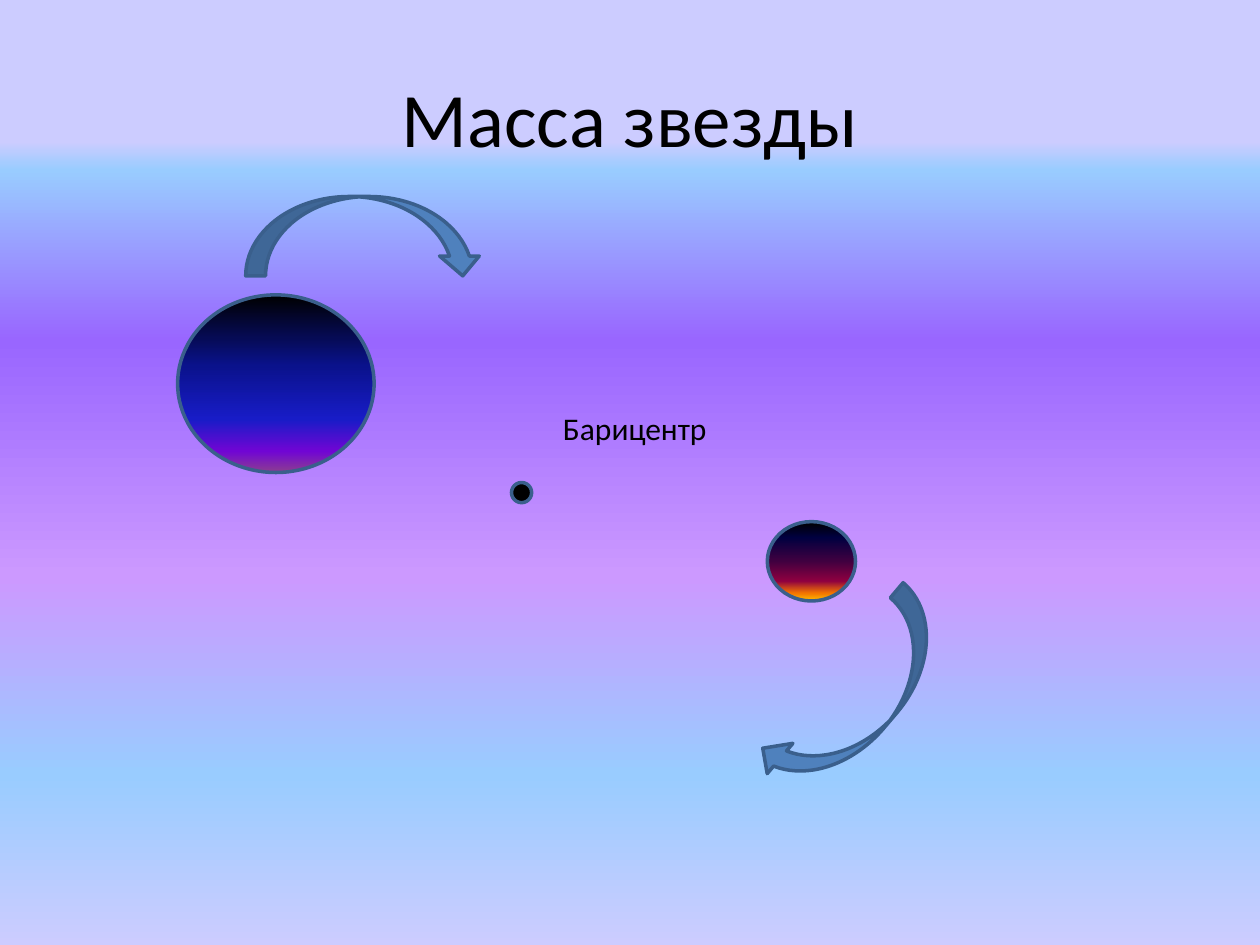
from lxml import etree
from pptx import Presentation
from pptx.dml.color import RGBColor
from pptx.enum.shapes import MSO_SHAPE
from pptx.enum.text import MSO_ANCHOR, MSO_AUTO_SIZE, PP_ALIGN
from pptx.oxml.ns import qn
from pptx.util import Inches, Pt

# Colours and gradients (stop position in percent, colour)
BLACK = RGBColor(0x00, 0x00, 0x00)
OUTLINE = RGBColor(0x3A, 0x5F, 0x8C)
ARROW_BLUE = RGBColor(0x4F, 0x81, 0xBD)
LAVENDER = RGBColor(0xCC, 0xCC, 0xFF)
SKY = RGBColor(0x99, 0xCC, 0xFF)
VIOLET = RGBColor(0x99, 0x66, 0xFF)
LILAC = RGBColor(0xCC, 0x99, 0xFF)

BACKGROUND = [(15, LAVENDER), (18, SKY), (36, VIOLET), (61, LILAC), (82, SKY), (100, LAVENDER)]
STAR = [(0, BLACK), (40, RGBColor(0x0A, 0x12, 0x8C)), (70, RGBColor(0x18, 0x1C, 0xC7)),
        (88, RGBColor(0x70, 0x05, 0xD4)), (100, RGBColor(0x8C, 0x3D, 0x91))]
COMPANION = [(0, BLACK), (20, RGBColor(0x00, 0x00, 0x40)), (50, RGBColor(0x40, 0x00, 0x40)),
             (75, RGBColor(0x8F, 0x00, 0x40)), (90, RGBColor(0xF2, 0x73, 0x00)),
             (100, RGBColor(0xFF, 0xBF, 0x00))]

# Content: text, box, size
TITLE = ("Масса звезды", (0.5, 0.3, 9, 1.25), 44)
LABEL = ("Барицентр", (4.37, 3.2, 1.56, 0.4), 18)

# Bodies and orbit arrows: preset, box, fill, rotation
BODIES = [
    (MSO_SHAPE.OVAL, (1.41, 2.34, 1.56, 1.41), STAR, 0),
    (MSO_SHAPE.OVAL, (6.09, 4.14, 0.7, 0.63), COMPANION, 0),
    (MSO_SHAPE.OVAL, (4.06, 3.83, 0.16, 0.16), BLACK, 0),
]
ORBIT_ARROWS = [
    (MSO_SHAPE.CURVED_DOWN_ARROW, (1.95, 1.56, 1.88, 0.63), ARROW_BLUE, 0),
    (MSO_SHAPE.CURVED_DOWN_ARROW, (5.86, 5.23, 1.88, 0.63), ARROW_BLUE, 130.3),
]


def inches(box):
    return [Inches(value) for value in box]


def apply_gradient(fill, parent, stops):
    """Fill from top to bottom with any number of stops."""
    fill.gradient()
    fill.gradient_angle = 270
    stop_list = next(parent.iter(qn("a:gsLst")))
    for stop in list(stop_list):
        stop_list.remove(stop)
    for position, color in stops:
        stop = etree.SubElement(stop_list, qn("a:gs"), pos=str(position * 1000))
        etree.SubElement(stop, qn("a:srgbClr"), val=str(color))


def write_text(shape, text, size, alignment):
    paragraph = shape.text_frame.paragraphs[0]
    paragraph.alignment = alignment
    run = paragraph.add_run()
    run.text = text
    for name, value in {"name": "Calibri", "size": Pt(size)}.items():
        setattr(run.font, name, value)
    run.font.color.rgb = BLACK


def add_figure(slide, preset, box, fill, rotation):
    shape = slide.shapes.add_shape(preset, *inches(box))
    shape.shadow.inherit = False
    shape.rotation = rotation
    if isinstance(fill, list):
        apply_gradient(shape.fill, shape.element.spPr, fill)
    else:
        shape.fill.solid()
        shape.fill.fore_color.rgb = fill
    shape.line.color.rgb = OUTLINE
    shape.line.width = Pt(2)


def main():
    presentation = Presentation()
    presentation.slide_width, presentation.slide_height = Inches(10), Inches(7.5)
    slide = presentation.slides.add_slide(presentation.slide_layouts[5])
    apply_gradient(slide.background.fill, slide.element, BACKGROUND)

    # Title
    text, box, size = TITLE
    title = slide.shapes.title
    title.left, title.top, title.width, title.height = inches(box)
    title.text_frame.vertical_anchor = MSO_ANCHOR.MIDDLE
    write_text(title, text, size, PP_ALIGN.CENTER)

    # Star, companion and barycentre
    for body in BODIES:
        add_figure(slide, *body)

    # Barycentre label
    text, box, size = LABEL
    label = slide.shapes.add_textbox(*inches(box))
    label.text_frame.word_wrap = True
    label.text_frame.auto_size = MSO_AUTO_SIZE.SHAPE_TO_FIT_TEXT
    write_text(label, text, size, PP_ALIGN.LEFT)

    # Orbit directions
    for arrow in ORBIT_ARROWS:
        add_figure(slide, *arrow)

    presentation.save("out.pptx")


if __name__ == "__main__":
    main()
